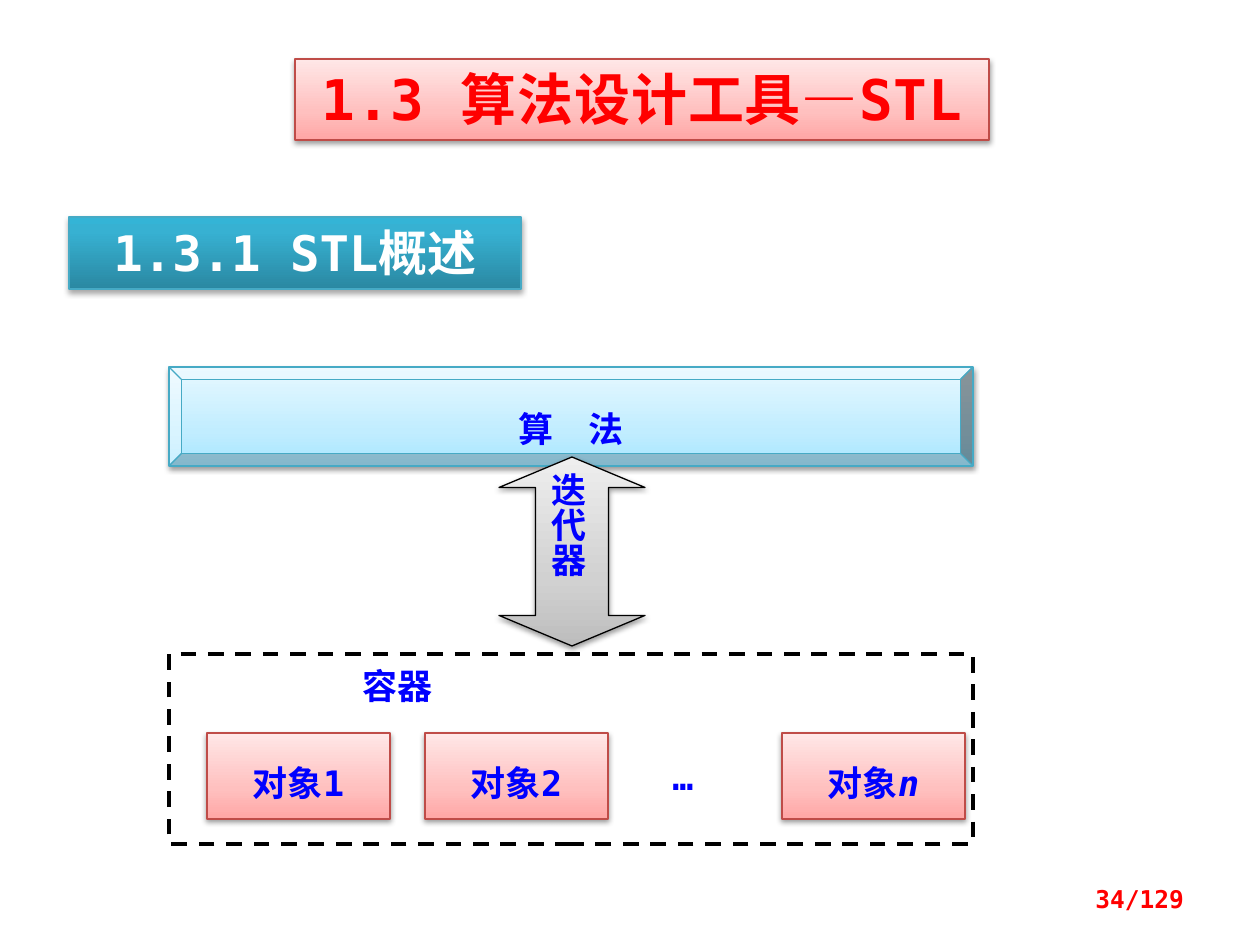
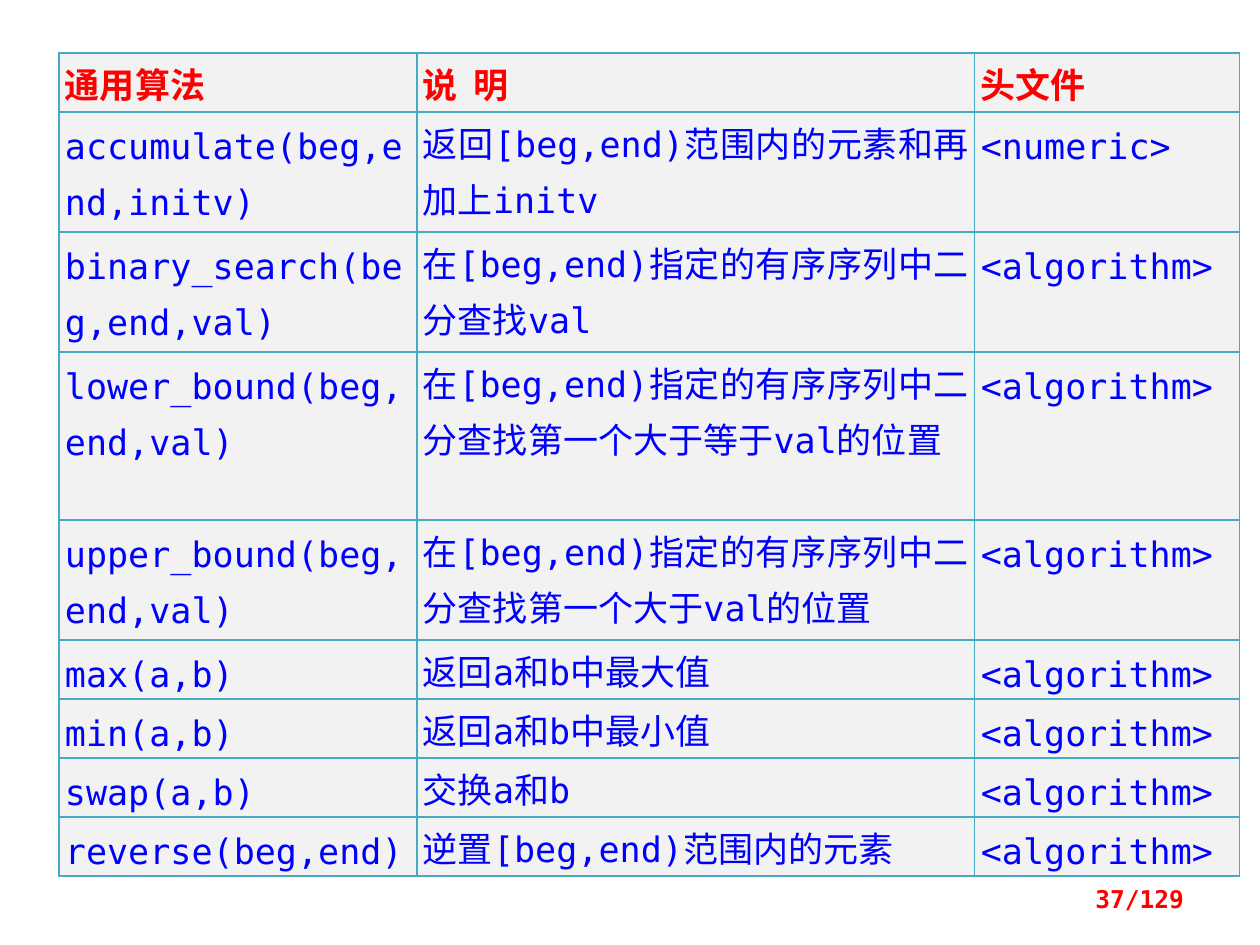
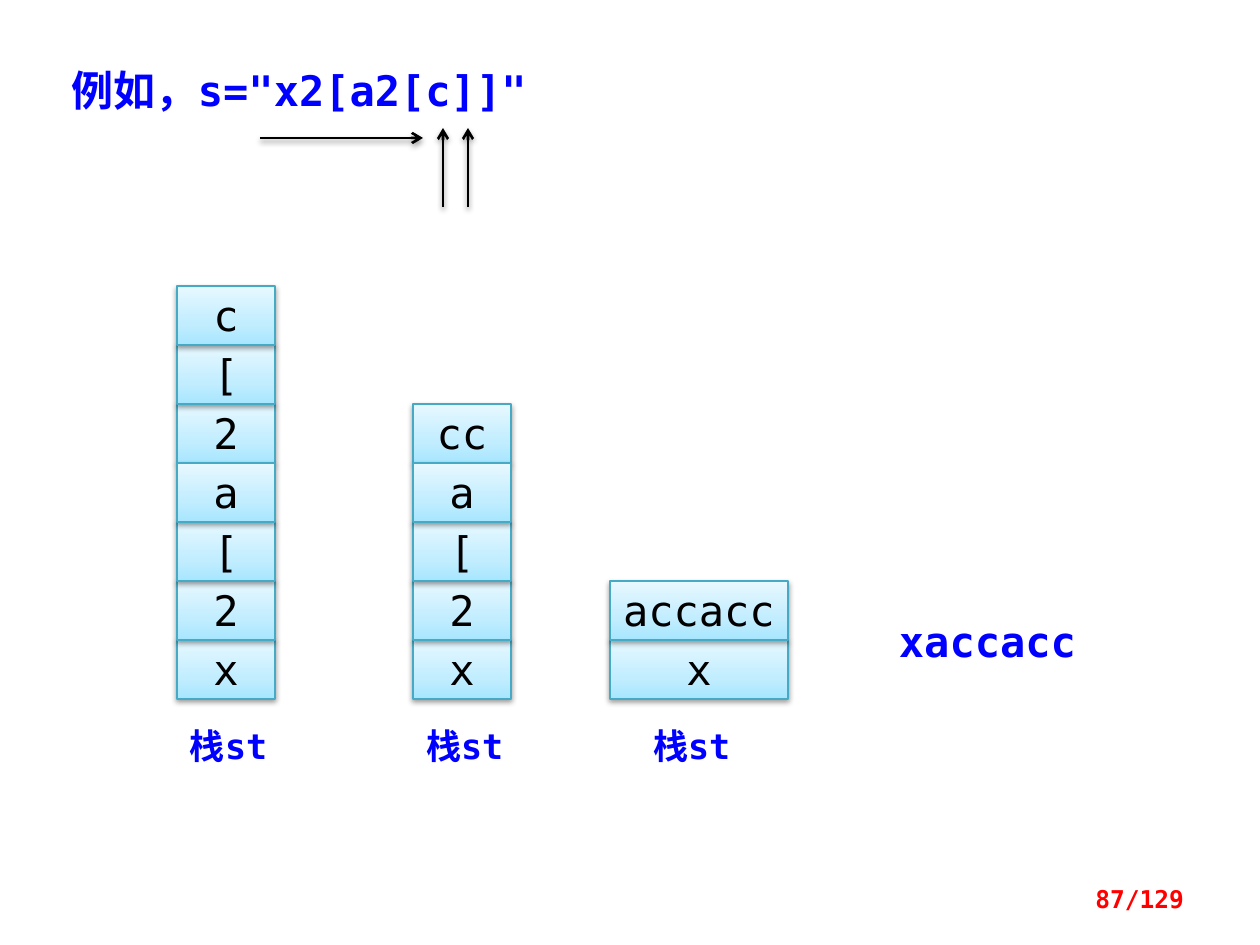
from lxml import etree
from pptx import Presentation
from pptx.dml.color import RGBColor
from pptx.enum import dml, shapes, text
from pptx.oxml import parse_xml
from pptx.oxml.ns import nsdecls, qn
from pptx.util import Emu, Pt

# Shared look
FONT = "DejaVu Sans Mono"
RED, BLUE, BLACK, WHITE, GREY = "FF0000", "0000FF", "000000", "FFFFFF", "F2F2F2"
PINK = ("BF4C48", [(0, "FFA6A5"), (35, "FFC0BF"), (100, "FFE7E7")])
SKY = ("46AAC5", [(0, "A7E6FF"), (35, "C1EDFF"), (100, "E7F8FF")])
TEAL = ("46AAC5", [(0, "2A88A2"), (80, "37B1D2"), (100, "34B4D6")])
SILVER = ("000000", [(0, "BDBDBD"), (35, "D1D1D1"), (100, "EEEEEE")])
KIND = shapes.MSO_SHAPE
LEFT, MID, RIGHT, JUST = (text.PP_ALIGN.LEFT, text.PP_ALIGN.CENTER,
                          text.PP_ALIGN.RIGHT, text.PP_ALIGN.JUSTIFY)
TOP, CENTRE = text.MSO_ANCHOR.TOP, text.MSO_ANCHOR.MIDDLE
PAD = (13, 6, 13, 6)
TIGHT = (0, 4, 0, 0)
BARE = (0, 0, 0, 0)


def px(n):
    return Emu(round(n * 914400 / 126))


def hue(code):
    return RGBColor.from_string(code)


# Text
def write(frame, runs, size=20, color=BLUE, bold=True, align=LEFT, lead=None,
          pad=PAD, anchor=TOP, grow=False, track=None, vert=None):
    """Fill a frame with one paragraph; runs is a string or (string, italic) pairs."""
    frame.word_wrap = True
    frame.vertical_anchor = anchor
    (frame.margin_left, frame.margin_top,
     frame.margin_right, frame.margin_bottom) = map(px, pad)
    if grow:
        frame.auto_size = text.MSO_AUTO_SIZE.SHAPE_TO_FIT_TEXT
    if vert:
        frame._txBody.bodyPr.set("vert", vert)
    fill_par(frame.paragraphs[0], runs, size, color, bold, align, lead, track)


def fill_par(par, runs, size, color, bold, align, lead, track=None):
    par.alignment = align
    if lead:
        par.line_spacing = Pt(lead)
    for words, slant in [(runs, False)] if isinstance(runs, str) else runs:
        run = par.add_run()
        run.text = words
        font = run.font
        font.name, font.size, font.bold = FONT, Pt(size), bold
        font.color.rgb = hue(color)
        if slant:
            font.italic = True
        if track:
            run._r.get_or_add_rPr().set("spc", str(track))


def label(tree, x, y, w, h, runs, **form):
    box = tree.add_textbox(px(x), px(y), px(w), px(h))
    write(box.text_frame, runs, **form)


# Shapes
def shade(props, alpha=38, dist=20000):
    glow = props.find(qn("a:effectLst"))
    if glow is None:
        glow = etree.SubElement(props, qn("a:effectLst"))
    glow.append(parse_xml(
        f'<a:outerShdw {nsdecls("a")} blurRad="40000" dist="{dist}" dir="5400000" '
        f'rotWithShape="0"><a:srgbClr val="000000"><a:alpha val="{alpha * 1000}"/>'
        '</a:srgbClr></a:outerShdw>'))


def plain(tree, x, y, w, h, kind=KIND.RECTANGLE):
    part = tree.add_shape(kind, px(x), px(y), px(w), px(h))
    part.shadow.inherit = False
    part.fill.solid()
    part.fill.fore_color.rgb = hue(WHITE)
    part.line.fill.background()
    return part


def adjust(props, guides):
    """Set the shape's guides by name, in the order given."""
    bag = props.find(".//" + qn("a:avLst"))
    for old in list(bag):
        bag.remove(old)
    for name, value in guides.items():
        etree.SubElement(bag, qn("a:gd"), name=name, fmla=f"val {value}")


def block(tree, x, y, w, h, look, runs, kind=KIND.RECTANGLE, guides=None, **form):
    """A shaded box with a gradient that runs upwards."""
    edge, stops = look
    part = plain(tree, x, y, w, h, kind)
    props = part._element.spPr
    if guides:
        adjust(props, guides)
    part.fill.gradient()
    part.fill.gradient_angle = 90
    ramp = props.find(".//" + qn("a:gsLst"))
    for stop in list(ramp):
        ramp.remove(stop)
    for pos, code in stops:
        ramp.append(parse_xml(f'<a:gs {nsdecls("a")} pos="{pos * 1000}">'
                              f'<a:srgbClr val="{code}"/></a:gs>'))
    part.line.color.rgb = hue(edge)
    part.line.width = Pt(0.75)
    shade(props, *((35, 23000) if look is TEAL else ()))
    write(part.text_frame, runs, align=MID, **form)


def arrow(tree, x1, y1, x2, y2):
    link = tree.add_connector(shapes.MSO_CONNECTOR.STRAIGHT,
                              px(x1), px(y1), px(x2), px(y2))
    link.line.color.rgb = hue(BLACK)
    link.line.width = Pt(1.5)
    props = link._element.spPr
    etree.SubElement(props.find(qn("a:ln")), qn("a:tailEnd"), type="arrow")
    shade(props)


# Table
def rule(cell, code):
    props = cell._tc.get_or_add_tcPr()
    for side in "LRTB":
        props.append(parse_xml(
            f'<a:ln{side} {nsdecls("a")} w="9525"><a:solidFill>'
            f'<a:srgbClr val="{code}"/></a:solidFill></a:ln{side}>'))


def grid(tree, x, y, cols, tall, rows):
    frame = tree.add_table(len(rows), len(cols), px(x), px(y),
                           px(sum(cols)), px(sum(tall)))
    table = frame.table
    table.first_row = table.horz_banding = False
    for col, w in zip(table.columns, cols):
        col.width = px(w)
    for r, row in enumerate(rows):
        table.rows[r].height = px(tall[r])
        for c, words in enumerate(row):
            cell = table.cell(r, c)
            rule(cell, SKY[0])
            cell.fill.solid()
            cell.fill.fore_color.rgb = hue(GREY)
            cell.margin_left = cell.margin_right = px(6)
            cell.margin_top = cell.margin_bottom = 0
            fill_par(cell.text_frame.paragraphs[0], words, 20,
                     BLUE if r else RED, r == 0, JUST, 32)


# Stack of cells, listed from the bottom up
def stack(slide, x, w, items, tag):
    tree = slide.shapes.add_group_shape().shapes
    step, base = 59, 640
    for row in sorted(range(len(items)), key=lambda i: (i < 4, i)):
        block(tree, x, base - row * step, w, step, SKY, items[row],
              size=24, color=BLACK, bold=False, lead=28, anchor=CENTRE)
    label(tree, tag, 718, 118, 55, "栈st", grow=True)


# Slides
def page(deck, num):
    slide = deck.slides.add_slide(deck.slide_layouts[6])
    return slide, f"{num}/129"


def foot(slide, words):
    label(slide.shapes, 903, 874, 294, 50, words, size=14, color=RED,
          align=RIGHT, anchor=CENTRE)


def outline(deck):
    slide, num = page(deck, 34)
    tree = slide.shapes
    block(tree, 295, 59, 694, 81, PINK, "1.3 算法设计工具—STL",
          size=32, color=RED, grow=True, track=50)
    block(tree, 69, 217, 452, 72, TEAL, "1.3.1 STL概述",
          size=28, color=WHITE, grow=True)

    # Container frame and algorithm bar
    frame = plain(tree, 169, 654, 804, 190)
    frame.line.color.rgb = hue(BLACK)
    frame.line.width = Pt(2.25)
    frame.line.dash_style = dml.MSO_LINE.DASH
    block(tree, 169, 367, 804, 99, SKY, "算　法", kind=KIND.BEVEL,
          guides={"adj": 12500}, lead=38, pad=TIGHT)

    # Objects in the container
    for x, runs in ((207, "对象1"), (425, "对象2"),
                    (782, [("对象", False), ("n", True)])):
        block(tree, x, 733, 183, 86, PINK, runs, lead=38, pad=TIGHT)
    dots = plain(tree, 641, 755, 84, 68)
    write(dots.text_frame, "…", align=MID, pad=BARE)

    # Iterator between the two
    block(tree, 499, 457, 146, 189, SILVER, "迭代器", kind=KIND.UP_DOWN_ARROW,
          guides={"adj1": 50000, "adj2": 20900}, lead=35, pad=BARE, vert="eaVert")
    name = plain(tree, 345, 664, 106, 58)
    write(name.text_frame, "容器", align=MID, pad=BARE)
    foot(slide, num)


def methods(deck):
    slide, num = page(deck, 37)
    algo = "<algorithm>"
    span = "在[beg,end)指定的有序序列中二分查找"
    rows = [
        ("通用算法", "说  明", "头文件"),
        ("accumulate(beg,end,initv)", "返回[beg,end)范围内的元素和再加上initv", "<numeric>"),
        ("binary_search(beg,end,val)", span + "val", algo),
        ("lower_bound(beg,end,val)", span + "第一个大于等于val的位置", algo),
        ("upper_bound(beg,end,val)", span + "第一个大于val的位置", algo),
        ("max(a,b)", "返回a和b中最大值", algo),
        ("min(a,b)", "返回a和b中最小值", algo),
        ("swap(a,b)", "交换a和b", algo),
        ("reverse(beg,end)", "逆置[beg,end)范围内的元素", algo),
    ]
    tall = [59] + [120] * 4 + [59] * 4
    grid(slide.shapes, 59, 53, [358, 558, 265], tall, rows)
    foot(slide, num)


def decode(deck):
    slide, num = page(deck, 87)
    tree = slide.shapes
    label(tree, 59, 59, 591, 63, '例如，s="x2[a2[c]]"', size=24, grow=True)
    arrow(tree, 260, 138, 423, 138)
    for x in (443, 468):
        arrow(tree, x, 207, x, 128)
    stack(slide, 177, 98, list("x2[a2[c"), 177)
    stack(slide, 413, 98, [*"x2[a", "cc"], 413)
    stack(slide, 610, 178, ["x", "accacc"], 640)
    label(tree, 886, 610, 217, 63, "xaccacc", size=24, grow=True)
    foot(slide, num)


def main():
    deck = Presentation()
    deck.slide_width, deck.slide_height = px(1260), px(945)
    outline(deck)
    methods(deck)
    decode(deck)
    deck.save("out.pptx")


if __name__ == "__main__":
    main()
